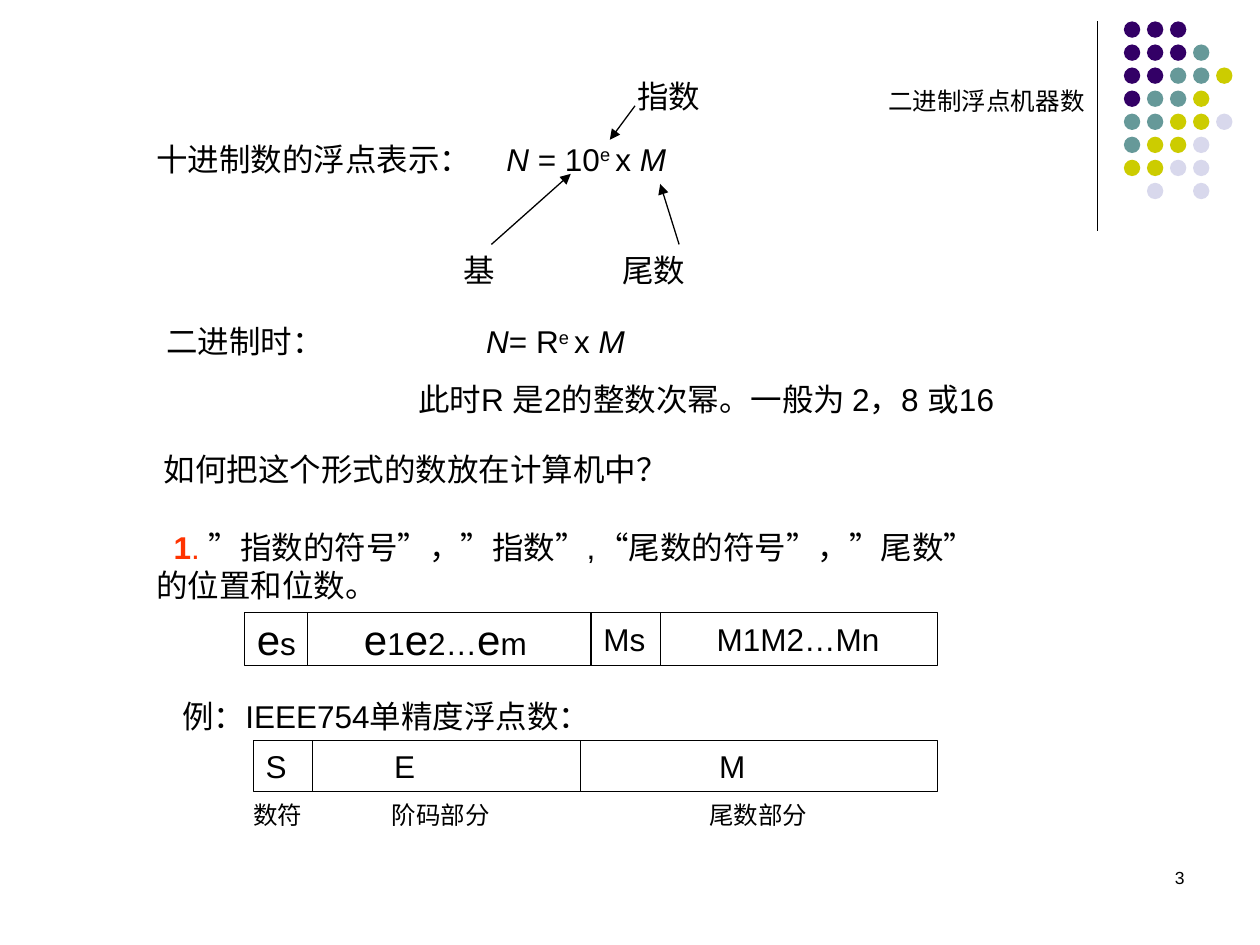
from lxml import etree
from pptx import Presentation
from pptx import util as u
from pptx.dml.color import RGBColor
from pptx.enum import shapes, text
from pptx.oxml import ns

BLACK = "000000"
DOT_COLOURS = {"P": "330066", "T": "669999", "Y": "CCCC00", "L": "D8D8EC"}
DOT_ROWS = ["PPP", "PPPT", "PPTTY", "PTTY", "TTYYL", "TYYL", "YYLL", " L L"]
ITALIC = {"italic": True}


def colour(value):
    return RGBColor.from_string(value)


def add_run(paragraph, words, size=18, italic=False, bold=False,
            fill=BLACK, superscript=False):
    run = paragraph.add_run()
    run.text = words
    font = run.font
    font.name, font.size = "Arial", u.Pt(size)
    font.italic, font.bold = italic, bold
    font.color.rgb = colour(fill)
    if superscript:
        run._r.get_or_add_rPr().set("baseline", "30000")


def add_runs(paragraph, runs, size=18):
    """Add plain strings or (words, options) pairs."""
    for run in runs:
        words, options = (run, {}) if isinstance(run, str) else run
        add_run(paragraph, words, **{"size": size, **options})


def set_tab(paragraph, position):
    properties = paragraph._p.get_or_add_pPr()
    tabs = etree.SubElement(properties, ns.qn("a:tabLst"))
    etree.SubElement(tabs, ns.qn("a:tab"), pos=str(u.Inches(position)), algn="l")


def set_indent(paragraph, left=0, first=0):
    properties = paragraph._p.get_or_add_pPr()
    properties.set("marL", str(u.Inches(left)))
    properties.set("indent", str(u.Inches(first)))


def set_frame(shape, across=0.1, down=0.05, anchor=text.MSO_ANCHOR.TOP):
    frame = shape.text_frame
    frame.word_wrap = True
    frame.auto_size = text.MSO_AUTO_SIZE.NONE
    frame.vertical_anchor = anchor
    frame.margin_left = frame.margin_right = u.Inches(across)
    frame.margin_top = frame.margin_bottom = u.Inches(down)
    return frame


def add_text(slide, box, runs, size=18, margins=(0.1, 0.05), tab=None):
    shape = slide.shapes.add_textbox(*map(u.Inches, box))
    frame = set_frame(shape, *margins)
    paragraph = frame.paragraphs[0]
    if tab:
        set_tab(paragraph, tab)
    add_runs(paragraph, runs, size)
    return frame


def add_line(slide, start, end, arrow=False):
    line = slide.shapes.add_connector(
        shapes.MSO_CONNECTOR.STRAIGHT, *map(u.Inches, start + end))
    line.line.color.rgb = colour(BLACK)
    line.line.width = u.Pt(0.75)
    if arrow:
        etree.SubElement(line.line._get_or_add_ln(), ns.qn("a:tailEnd"),
                         type="triangle")
    etree.SubElement(line._element.spPr, ns.qn("a:effectLst"))


def add_shape(slide, kind, box):
    shape = slide.shapes.add_shape(kind, *map(u.Inches, box))
    shape.shadow.inherit = False
    return shape


def add_dots(slide):
    size, pitch = 0.13, 0.183
    for row, letters in enumerate(DOT_ROWS):
        for column, letter in enumerate(letters):
            if letter == " ":
                continue
            dot = add_shape(slide, shapes.MSO_SHAPE.OVAL,
                            (8.92 + column * pitch, 0.17 + row * pitch, size, size))
            dot.fill.solid()
            dot.fill.fore_color.rgb = colour(DOT_COLOURS[letter])
            dot.line.fill.background()


def add_field_row(slide, top, height, edges, fields):
    """Draw adjoining boxes; each field is (left indent, runs)."""
    for left, right, (indent, runs) in zip(edges, edges[1:], fields):
        cell = add_shape(slide, shapes.MSO_SHAPE.RECTANGLE,
                         (left, top, right - left, height))
        cell.fill.background()
        cell.line.color.rgb = colour(BLACK)
        cell.line.width = u.Pt(0.75)
        frame = set_frame(cell, down=0.01, anchor=text.MSO_ANCHOR.MIDDLE)
        frame.margin_right = 0
        paragraph = frame.paragraphs[0]
        paragraph.alignment = text.PP_ALIGN.LEFT
        set_indent(paragraph, indent)
        add_runs(paragraph, runs)


def set_title(slide, words):
    title = slide.shapes.title
    title.left, title.top, title.width, title.height = map(
        u.Inches, (7.05, 0.68, 1.81, 0.23))
    paragraph = set_frame(title, 0, 0).paragraphs[0]
    paragraph.alignment = text.PP_ALIGN.JUSTIFY
    add_run(paragraph, words, 14)


def formula(opening, base):
    return [opening, ("N", ITALIC), base, ("e ", {"superscript": True}),
            "x ", ("M", ITALIC)]


def add_decimal_form(slide):
    add_text(slide, (1.14, 1.06, 5.28, 0.4),
             formula("十进制数的浮点表示：\t", " = 10"), tab=2.78)
    for left, top, label in [(4.96, 0.56, "指数"), (3.58, 1.94, "基"),
                             (4.84, 1.94, "尾数")]:
        add_text(slide, (left, top, 0.75, 0.4), [label])
    for start, end in [((3.9, 1.94), (4.53, 1.38)), ((5.39, 1.94), (5.24, 1.46)),
                       ((5.04, 0.84), (4.84, 1.11))]:
        add_line(slide, start, end, arrow=True)


def add_binary_form(slide):
    frame = add_text(slide, (1.22, 2.51, 7.72, 0.86),
                     formula("二进制时：\t", "= R"), tab=2.54)
    remark = frame.add_paragraph()
    remark.space_before = u.Pt(11.2)
    set_indent(remark, 2)
    add_run(remark, "此时R 是2的整数次幂。一般为 2，8 或16")


def add_storage_question(slide):
    add_text(slide, (1.2, 3.52, 6.4, 0.4), ["如何把这个形式的数放在计算机中？"])
    red = {"fill": "FF3300"}
    frame = add_text(slide, (1.14, 4.14, 7.48, 0.7),
                     [("1", {**red, "bold": True}), (". ", red),
                      "”指数的符号”，”指数”,\t“尾数的符号”，”尾数”"], tab=3.75)
    paragraph = frame.paragraphs[0]
    set_indent(paragraph, first=0.14)
    paragraph.add_line_break()
    add_run(paragraph, "的位置和位数。")


def main():
    presentation = Presentation()
    presentation.slide_width, presentation.slide_height = u.Inches(10), u.Inches(7.5)
    slide = presentation.slides.add_slide(presentation.slide_layouts[5])

    add_line(slide, (8.71, 0.17), (8.71, 1.83))
    add_dots(slide)
    set_title(slide, "二进制浮点机器数")
    add_decimal_form(slide)
    add_binary_form(slide)
    add_storage_question(slide)

    large_e = ("e", {"size": 24})
    add_field_row(slide, 4.86, 0.42, [1.94, 2.44, 4.69, 5.24, 7.44],
                  [(0, [large_e, "s"]),
                   (0.35, [large_e, "1", large_e, "2…", large_e, "m"]),
                   (0, ["Ms"]), (0.35, ["M1M2…Mn"])])

    add_text(slide, (1.35, 5.48, 3.7, 0.4), ["例：IEEE754单精度浮点数："])
    add_field_row(slide, 5.88, 0.4, [2.01, 2.48, 4.61, 7.44],
                  [(0, ["S"]), (0.55, ["E"]), (1, ["M"])])
    for left, label in [(2.01, "数符"), (3.11, "阶码部分"), (5.63, "尾数部分")]:
        add_text(slide, (left, 6.35, 0.85, 0.23), [label], 14, (0, 0))

    number = add_text(slide, (7.17, 6.83, 2.33, 0.5), ["3"], 10)
    number.paragraphs[0].alignment = text.PP_ALIGN.RIGHT
    presentation.save("out.pptx")


if __name__ == "__main__":
    main()
